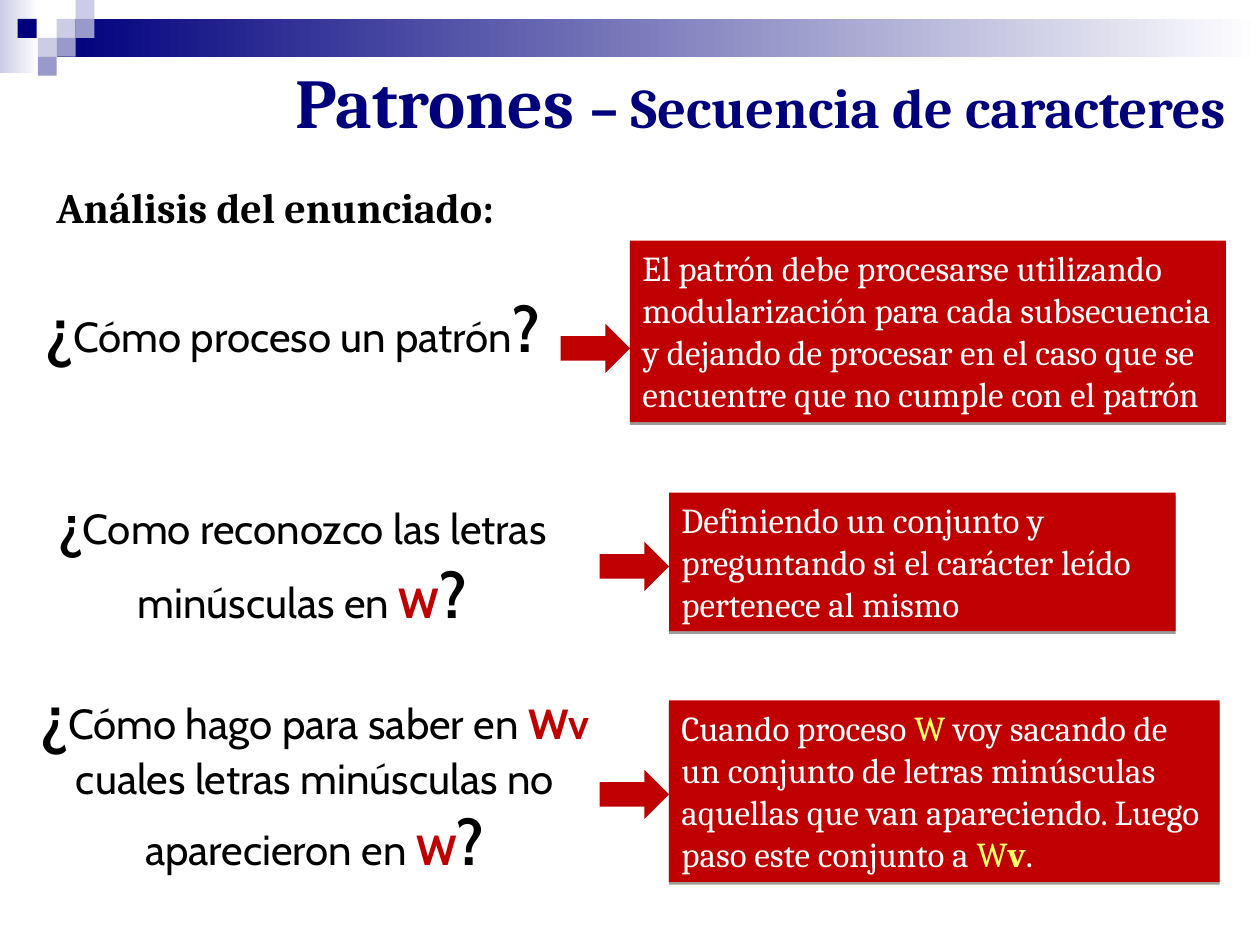
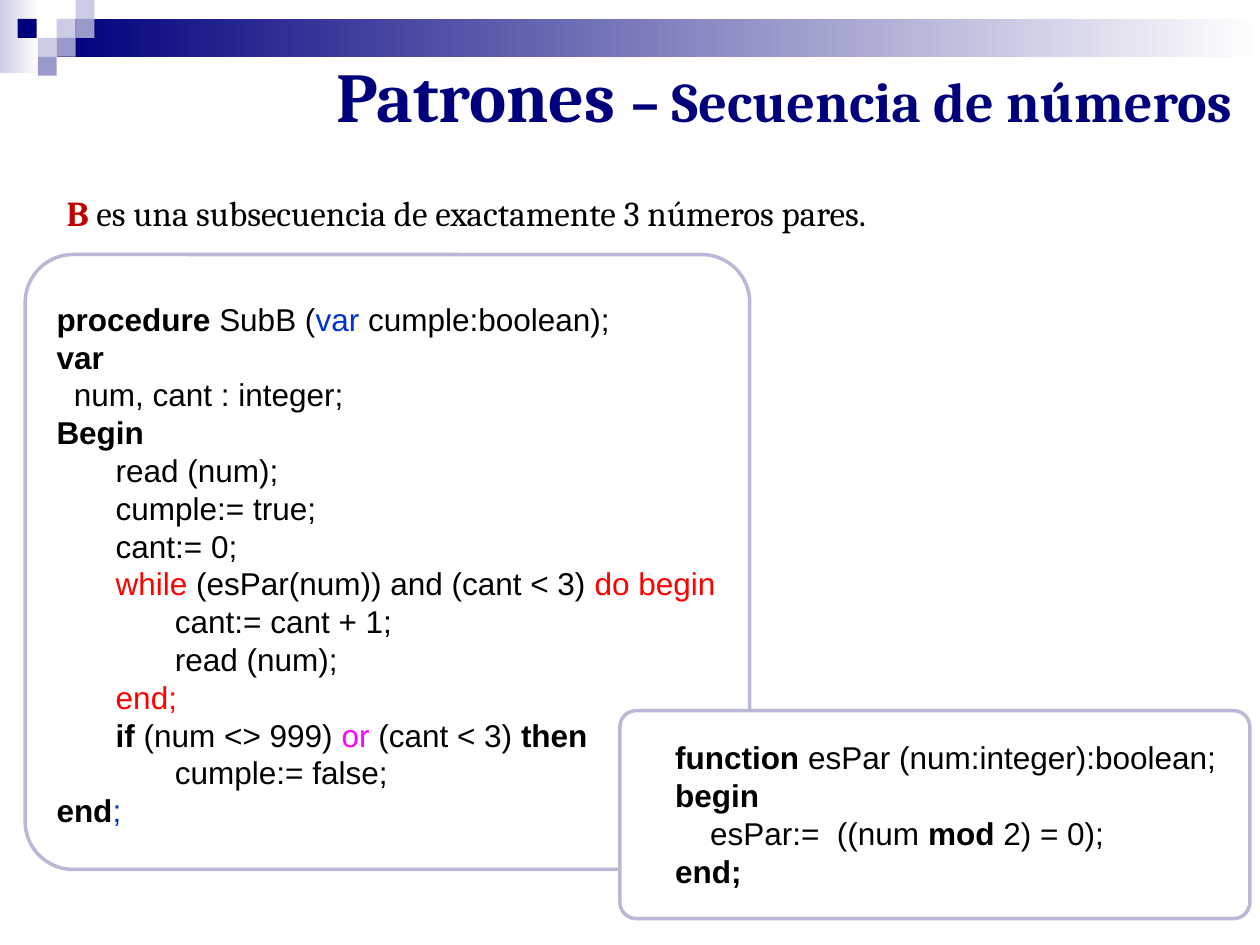
import dataclasses
import lxml.etree
import pptx
import pptx.dml.color
import pptx.enum.shapes
import pptx.enum.text
import pptx.oxml.ns
import pptx.util

SCALE = 9144
SHAPES = pptx.enum.shapes.MSO_SHAPE
ALIGN = pptx.enum.text.PP_ALIGN
ANCHOR = pptx.enum.text.MSO_ANCHOR
qn = pptx.oxml.ns.qn


@dataclasses.dataclass(frozen=True)
class Theme:
    navy: str = "00007D"
    lavender: str = "CCCCE6"
    violet: str = "9999CC"
    frame: str = "B9B9D5"
    white: str = "FFFFFF"
    black: str = "000000"
    crimson: str = "C00000"
    yellow: str = "FFFF66"
    red: str = "FF0000"
    blue: str = "0033CC"
    magenta: str = "FF00FF"
    serif: str = "Cambria"
    rounded: str = "Cabin"
    sans: str = "Arial"
    title: int = 40
    subtitle: int = 32
    mark: int = 36
    question: int = 24
    body: int = 20
    code: int = 18


THEME = Theme()


@dataclasses.dataclass(frozen=True)
class Box:
    left: int
    top: int
    width: int
    height: int

    def inner(self, left, top, width, height):
        return Box(self.left + left, self.top + top, width, height)

    def emu(self):
        return [SCALE * value for value in dataclasses.astuple(self)]


@dataclasses.dataclass(frozen=True)
class Span:
    text: str
    color: str = None
    bold: bool = None
    size: int = None


@dataclasses.dataclass(frozen=True)
class Style:
    font: str
    size: int
    color: str = THEME.black
    bold: bool = False
    align: int = ALIGN.LEFT
    tab: int = 0


TITLE = Style(THEME.serif, THEME.title, THEME.navy, True, ALIGN.RIGHT)
HEADING = Style(THEME.serif, THEME.question, bold=True)
LEAD = Style(THEME.serif, THEME.body)
QUESTION = Style(THEME.rounded, THEME.question, align=ALIGN.CENTER)
ANSWER = Style(THEME.serif, THEME.body, THEME.white)
CODE = Style(THEME.sans, THEME.code, tab=47)


def rgb(color):
    return pptx.dml.color.RGBColor.from_string(color)


def set_font(font, size, color, bold):
    if size is not None:
        font.size = pptx.util.Pt(size)
    if color is not None:
        font.color.rgb = rgb(color)
    if bold is not None:
        font.bold = bold


def add_tabs(para, step, count=4):
    tabs = lxml.etree.SubElement(para._p.get_or_add_pPr(), qn("a:tabLst"))
    for index in range(1, count + 1):
        lxml.etree.SubElement(tabs, qn("a:tab"), pos=str(index * step * SCALE), algn="l")


def write(frame, style, lines, anchor=ANCHOR.TOP, bottom=5, wrap=True):
    frame.word_wrap = wrap
    frame.vertical_anchor = anchor
    frame.margin_left = frame.margin_right = 10 * SCALE
    frame.margin_top, frame.margin_bottom = 5 * SCALE, bottom * SCALE
    for index, spans in enumerate(lines):
        para = frame.add_paragraph() if index else frame.paragraphs[0]
        para.alignment = style.align
        if style.tab:
            add_tabs(para, style.tab)
        para.font.name = style.font
        set_font(para.font, style.size, style.color, style.bold)
        for span in spans:
            run = para.add_run()
            run.text = span.text
            set_font(run.font, span.size, span.color, span.bold)


def add_text(page, box, style, lines, **layout):
    write(page.shapes.add_textbox(*box.emu()).text_frame, style, lines, **layout)


def add_block(page, box, color, kind=SHAPES.RECTANGLE, fade=False):
    shape = page.shapes.add_shape(kind, *box.emu())
    shape.shadow.inherit = False
    shape.line.fill.background()
    if fade:
        shape.fill.gradient()
        shape.fill.gradient_angle = 0
        for stop, tone in zip(shape.fill.gradient_stops, (color, THEME.white)):
            stop.color.rgb = rgb(tone)
    else:
        shape.fill.solid()
        shape.fill.fore_color.rgb = rgb(color)
    return shape


def add_drop_shadow(shape):
    effects = shape._element.spPr.find(qn("a:effectLst"))
    shadow = lxml.etree.SubElement(effects, qn("a:outerShdw"), blurRad="0", dist="20320",
                                   dir="5400000", rotWithShape="0")
    tone = lxml.etree.SubElement(shadow, qn("a:srgbClr"), val=THEME.black)
    lxml.etree.SubElement(tone, qn("a:alpha"), val="38000")


def add_banner(page, box):
    cell = 15
    add_block(page, box.inner(0, 0, 31, 58), THEME.lavender, fade=True)
    add_block(page, box.inner(45, cell, box.width - 45, 30), THEME.navy, fade=True)
    add_block(page, box.inner(14, cell, cell, cell), THEME.navy)
    mosaic = {THEME.lavender: [(1, 1), (2, 0), (0, 2)], THEME.violet: [(2, 1), (1, 2), (0, 3)]}
    for color, cells in mosaic.items():
        for column, row in cells:
            add_block(page, box.inner(30 + column * cell, row * cell, cell, cell), color)


def add_title(page, box, topic):
    spans = [Span("Patrones "), Span(f"– Secuencia de {topic}", size=THEME.subtitle)]
    add_text(page, box, TITLE, [spans], anchor=ANCHOR.BOTTOM, bottom=10)


def add_answer_row(page, box, question_box, question, answer_box, answer, arrow_top):
    add_text(page, box.inner(*question_box), QUESTION, [question])
    answer_area = box.inner(*answer_box)
    block = add_block(page, answer_area, THEME.crimson)
    add_drop_shadow(block)
    write(block.text_frame, ANSWER, [answer])
    arrow = Box(answer_area.left - 55, box.top + arrow_top, 55, 39)
    add_block(page, arrow, THEME.crimson, SHAPES.RIGHT_ARROW)


def add_code_panel(page, box, text_box, lines, **layout):
    panel = add_block(page, box, THEME.white, SHAPES.ROUNDED_RECTANGLE)
    panel.adjustments[0] = 0.078
    panel.line.color.rgb = rgb(THEME.frame)
    panel.line.width = pptx.util.Pt(2)
    add_text(page, box.inner(*text_box), CODE, lines, **layout)


def build_analysis(page, box):
    add_banner(page, box)
    add_title(page, box.inner(46, 21, 937, 102), "caracteres")
    add_text(page, box.inner(35, 139, 937, 50), HEADING, [[Span("Análisis del enunciado:")]])

    opening = Span("¿", bold=True, size=THEME.mark)
    closing = Span("?", bold=True, size=THEME.mark)
    word = Span("W", THEME.crimson, True)
    yellow_word = Span("W", THEME.yellow)

    add_answer_row(
        page, box.inner(0, 191, 1000, 144),
        (0, 34, 465, 70), [opening, Span("Cómo proceso un patrón"), closing],
        (500, 0, 473, 144),
        [Span("El patrón debe procesarse utilizando modularización para cada subsecuencia "
              "y dejando de procesar en el caso que se encuentre que no cumple con el patrón")],
        66)
    add_answer_row(
        page, box.inner(0, 383, 1000, 124),
        (0, 0, 480, 124),
        [dataclasses.replace(opening, size=THEME.subtitle),
         Span("Como reconozco las letras minúsculas en "), word, closing],
        (531, 8, 402, 110),
        [Span("Definiendo un conjunto y preguntando si el carácter leído pertenece al mismo")],
        47)
    add_answer_row(
        page, box.inner(0, 532, 1000, 170),
        (0, 0, 500, 170),
        [opening, Span("Cómo hago para saber en "), Span("Wv ", THEME.crimson, True),
         Span("cuales letras minúsculas no aparecieron en "), word, closing],
        (531, 24, 437, 144),
        [Span("Cuando proceso "), yellow_word,
         Span(" voy sacando de un conjunto de letras minúsculas aquellas que van "
              "apareciendo. Luego paso este conjunto a "),
         yellow_word, Span("v", THEME.yellow, True), Span(".")],
        79)


def build_code(page, box):
    add_banner(page, box)
    add_title(page, box.inner(51, 16, 937, 102), "números")
    add_text(page, box.inner(43, 147, 720, 44), LEAD,
             [[Span("B", THEME.crimson, True),
               Span(" es una subsecuencia de exactamente 3 números pares.")]])
    procedure = [
        [Span("procedure", bold=True), Span(" SubB ("), Span("var", THEME.blue),
         Span(" cumple:boolean);")],
        [Span("var", bold=True)],
        [Span("  num, cant : integer;")],
        [Span("Begin", bold=True)],
        [Span("\tread (num);")],
        [Span("\tcumple:= true;")],
        [Span("\tcant:= 0;")],
        [Span("\twhile", THEME.red), Span(" (esPar(num)) and (cant < 3) "),
         Span("do begin", THEME.red)],
        [Span("\t\tcant:= cant + 1;")],
        [Span("\t\tread (num);")],
        [Span("\tend;", THEME.red)],
        [Span("\tif ", bold=True), Span("(num <> 999) "), Span("or", THEME.magenta),
         Span(" (cant < 3)"), Span(" then", bold=True)],
        [Span("\t\tcumple:= false;")],
        [Span("end", bold=True), Span(";", THEME.blue)],
    ]
    function = [
        [Span("function", bold=True), Span(" esPar (num:integer):boolean;")],
        [Span("begin", bold=True)],
        [Span("    esPar:=  ((num "), Span("mod", bold=True), Span(" 2) = 0);")],
        [Span("end;", bold=True)],
    ]
    add_code_panel(page, box.inner(20, 202, 575, 488), (15, 31, 642, 430), procedure)
    add_code_panel(page, box.inner(492, 564, 500, 165), (34, 17, 449, 125), function,
                   anchor=ANCHOR.MIDDLE, bottom=0, wrap=False)


def main():
    deck = pptx.Presentation()
    area = Box(0, 0, 1000, 750)
    deck.slide_width, deck.slide_height = area.emu()[2:]
    for build in (build_analysis, build_code):
        build(deck.slides.add_slide(deck.slide_layouts[6]), area)
    deck.save("out.pptx")


if __name__ == "__main__":
    main()
